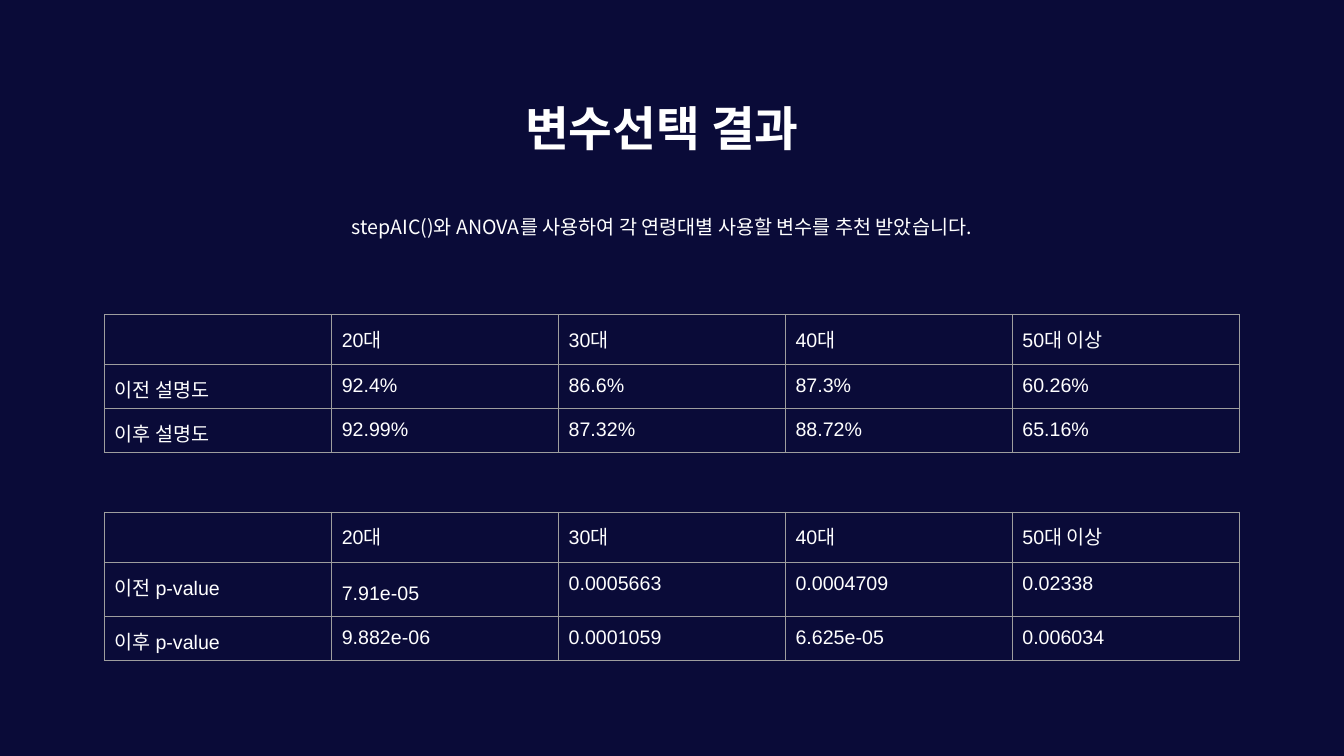
from lxml.etree import SubElement
from pptx import Presentation
from pptx.dml.color import RGBColor
from pptx.enum.text import MSO_ANCHOR, PP_ALIGN
from pptx.oxml.ns import qn
from pptx.util import Inches, Pt

COLORS = {"background": "0A0B38", "text": "FFFFFF", "border": "9E9E9E"}
AGE_GROUPS = ["", "20대", "30대", "40대", "50대 이상"]
EXPLAINED_ROWS = [
    AGE_GROUPS,
    ["이전 설명도", "92.4%", "86.6%", "87.3%", "60.26%"],
    ["이후 설명도", "92.99%", "87.32%", "88.72%", "65.16%"],
]
P_VALUE_ROWS = [
    AGE_GROUPS,
    ["이전 p-value", "7.91e-05", "0.0005663", "0.0004709", "0.02338"],
    ["이후 p-value", "9.882e-06", "0.0001059", "6.625e-05", "0.006034"],
]


def format_paragraph(paragraph, size, font_name="Arial", bold=False):
    """Set the font of a whole paragraph."""
    paragraph.font.size = Pt(size)
    paragraph.font.name = font_name
    paragraph.font.bold = bold
    paragraph.font.color.rgb = RGBColor.from_string(COLORS["text"])


def set_margins(frame, horizontal, vertical):
    """Set the inner margins of a text frame or table cell."""
    frame.margin_left = frame.margin_right = Inches(horizontal)
    frame.margin_top = frame.margin_bottom = Inches(vertical)


def add_heading(slide, left, top, width, height):
    """Place the slide title in the given box."""
    title = slide.shapes.title
    title.left, title.top = Inches(left), Inches(top)
    title.width, title.height = Inches(width), Inches(height)
    frame = title.text_frame
    frame.text = "변수선택 결과"
    frame.word_wrap = True
    frame.vertical_anchor = MSO_ANCHOR.TOP
    set_margins(frame, 0.1, 0.05)
    frame.paragraphs[0].alignment = PP_ALIGN.CENTER
    format_paragraph(frame.paragraphs[0], 34, bold=True)


def add_summary(slide, left, top, width, height):
    """Place the centred sentence on the method in the given box."""
    box = slide.shapes.add_textbox(Inches(left), Inches(top), Inches(width), Inches(height))
    frame = box.text_frame
    frame.text = "stepAIC()와 ANOVA를 사용하여 각 연령대별 사용할 변수를 추천 받았습니다."
    frame.word_wrap = True
    set_margins(frame, 0.1, 0.1)
    frame.paragraphs[0].alignment = PP_ALIGN.CENTER
    format_paragraph(frame.paragraphs[0], 14, "Noto Sans CJK KR")


def add_borders(cell):
    """Draw a thin line on every side of a cell."""
    properties = cell._tc.get_or_add_tcPr()
    for side in ("a:lnL", "a:lnR", "a:lnT", "a:lnB"):
        line = SubElement(properties, qn(side), w=str(Pt(0.75)))
        fill = SubElement(line, qn("a:solidFill"))
        SubElement(fill, qn("a:srgbClr"), val=COLORS["border"])


def add_result_table(slide, rows, left, top, width, height):
    """Place a bordered, unfilled table in the given box and return it."""
    table = slide.shapes.add_table(
        len(rows), len(rows[0]), Inches(left), Inches(top), Inches(width), Inches(height)
    ).table
    table.first_row = False
    table.horz_banding = False
    for row_index, values in enumerate(rows):
        for column_index, value in enumerate(values):
            cell = table.cell(row_index, column_index)
            set_margins(cell, 0.1, 0.1)
            add_borders(cell)
            cell.fill.background()
            if value:
                cell.text = value
                format_paragraph(cell.text_frame.paragraphs[0], 14)
    return table


def add_results_slide(presentation):
    """Build the slide of variable selection results."""
    slide = presentation.slides.add_slide(presentation.slide_layouts[5])
    slide.background.fill.solid()
    slide.background.fill.fore_color.rgb = RGBColor.from_string(COLORS["background"])
    add_heading(slide, 2.51, 0.93, 8.11, 0.67)
    add_summary(slide, 2.46, 2.03, 8.21, 0.44)
    add_result_table(slide, EXPLAINED_ROWS, 1.04, 3.12, 11.25, 1.26)
    p_values = add_result_table(slide, P_VALUE_ROWS, 1.04, 5.08, 11.25, 1.26)
    p_values.cell(1, 1).text_frame.paragraphs[0].line_spacing = 1.45


def main():
    """Create and save the presentation."""
    presentation = Presentation()
    presentation.slide_width = Inches(13.33)
    presentation.slide_height = Inches(7.5)
    add_results_slide(presentation)
    presentation.save("out.pptx")


if __name__ == "__main__":
    main()
